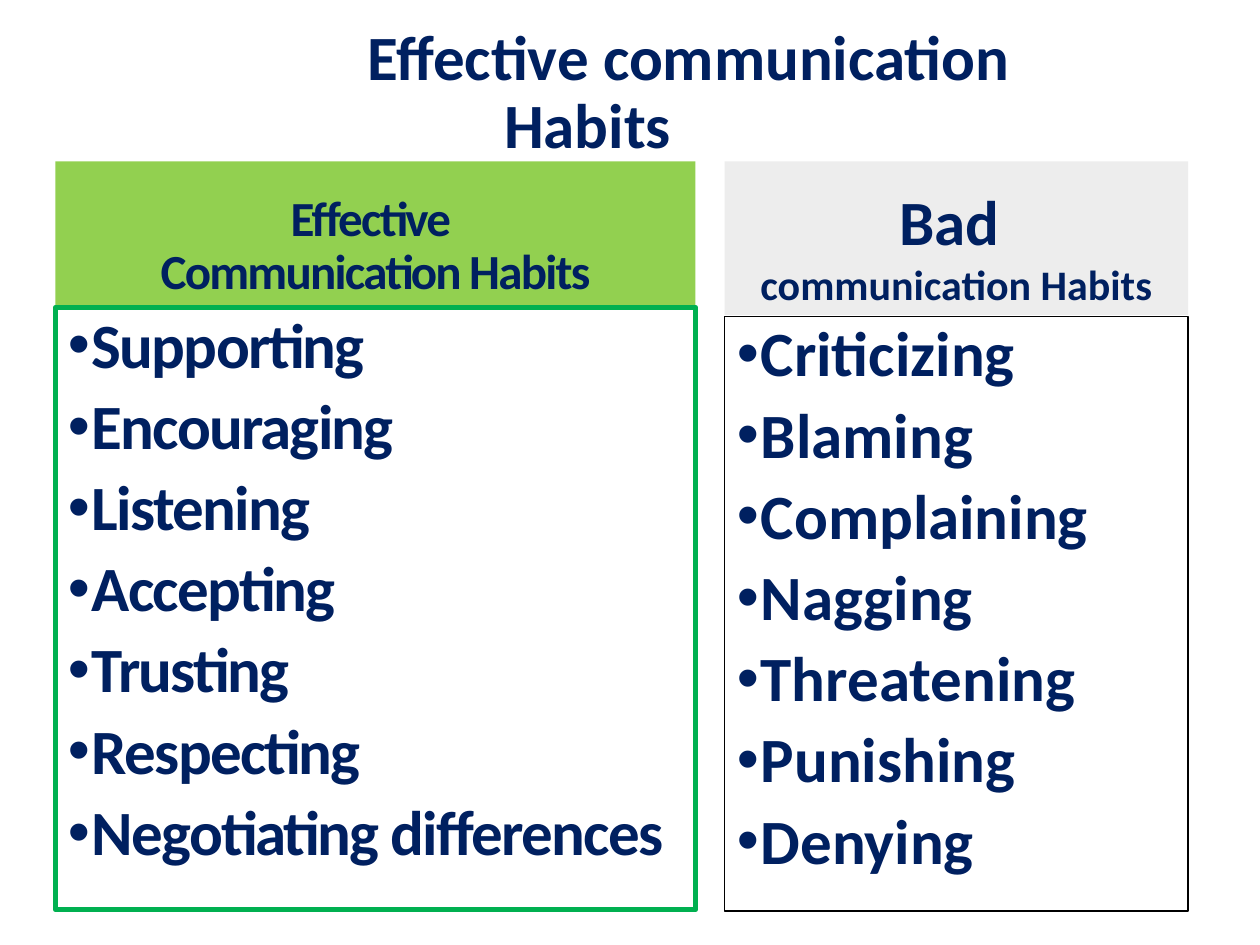
"""Build a slide that contrasts effective and bad communication habits."""
from pptx import Presentation
from pptx.dml.color import RGBColor
from pptx.enum import shapes, text
from pptx.oxml import ns
from pptx.util import Inches, Pt
from lxml import etree

NAVY = "002060"
TITLE = "Effective communication Habits"
COLUMNS = [
    dict(left=0.44, width=5.08, header_height=1.15, body_top=2.44, body_height=4.78,
         fill="92D050", border=("00B050", 3), tracking=-100, header_leading=0.9,
         header=[("Effective ", 28), ("Communication Habits", 28)],
         habits=["Supporting", "Encouraging", "Listening", "Accepting", "Trusting",
                 "Respecting", "Negotiating differences"]),
    dict(left=5.75, width=3.68, header_height=1.22, body_top=2.51, body_height=4.72,
         fill="EDEDED", border=("000000", 0.75), tracking=0, header_leading=1.0,
         header=[("Bad ", 36), ("communication Habits", 24)],
         habits=["Criticizing", "Blaming", "Complaining", "Nagging", "Threatening",
                 "Punishing", "Denying"]),
]
HEADER_TOP = 1.28
HABIT_SIZE = 36
HABIT_INDENT = 0.19
TITLE_INDENT = 1.6
CENTER = text.PP_ALIGN.CENTER


def rgb(color):
    return RGBColor.from_string(color)


def apply(target, **values):
    for name, value in values.items():
        setattr(target, name, value)


def add_panel(slide, box, fill=None, border=None):
    panel = slide.shapes.add_shape(shapes.MSO_SHAPE.RECTANGLE, *map(Inches, box))
    panel.shadow.inherit = False
    if fill:
        panel.fill.solid()
        panel.fill.fore_color.rgb = rgb(fill)
    else:
        panel.fill.background()
    if border:
        color, weight = border
        panel.line.color.rgb = rgb(color)
        panel.line.width = Pt(weight)
    else:
        panel.line.fill.background()
    return panel.text_frame


def write(frame, lines, anchor, tracking=0, bullet=False, indent=0, **layout):
    apply(frame, word_wrap=True, vertical_anchor=anchor)
    for index, (words, size) in enumerate(lines):
        paragraph = frame.add_paragraph() if index else frame.paragraphs[0]
        apply(paragraph, **layout)
        run = paragraph.add_run()
        run.text = words
        apply(run.font, name="Calibri", size=Pt(size), bold=True)
        run.font.color.rgb = rgb(NAVY)
        if tracking:
            run.font._element.set("spc", str(tracking))
        properties = paragraph._p.get_or_add_pPr()
        properties.set("indent", str(Inches(indent)))
        if bullet:
            properties.set("marL", str(Inches(-indent)))
            etree.SubElement(properties, ns.qn("a:buFont")).set("typeface", "Arial")
            etree.SubElement(properties, ns.qn("a:buChar")).set("char", "•")


def main():
    deck = Presentation()
    apply(deck, slide_width=Inches(10), slide_height=Inches(7.5))
    slide = deck.slides.add_slide(deck.slide_layouts[6])

    for column in COLUMNS:
        left, width, tracking = column["left"], column["width"], column["tracking"]
        header = add_panel(slide, (left, HEADER_TOP, width, column["header_height"]),
                           fill=column["fill"])
        write(header, column["header"], text.MSO_ANCHOR.BOTTOM, tracking,
              alignment=CENTER, line_spacing=column["header_leading"])
        body = add_panel(slide, (left, column["body_top"], width, column["body_height"]),
                         border=column["border"])
        write(body, [(habit, HABIT_SIZE) for habit in column["habits"]],
              text.MSO_ANCHOR.TOP, tracking, bullet=True, indent=-HABIT_INDENT,
              alignment=text.PP_ALIGN.LEFT, line_spacing=0.9, space_before=Pt(7.5))

    title = slide.shapes.add_textbox(*map(Inches, (0.5, 0.27, 8.33, 0.96))).text_frame
    apply(title, margin_left=Inches(0.2), margin_right=Inches(0.2))
    write(title, [(TITLE, 36)], text.MSO_ANCHOR.MIDDLE, indent=TITLE_INDENT,
          alignment=CENTER, line_spacing=0.9)
    deck.save("out.pptx")


if __name__ == "__main__":
    main()
